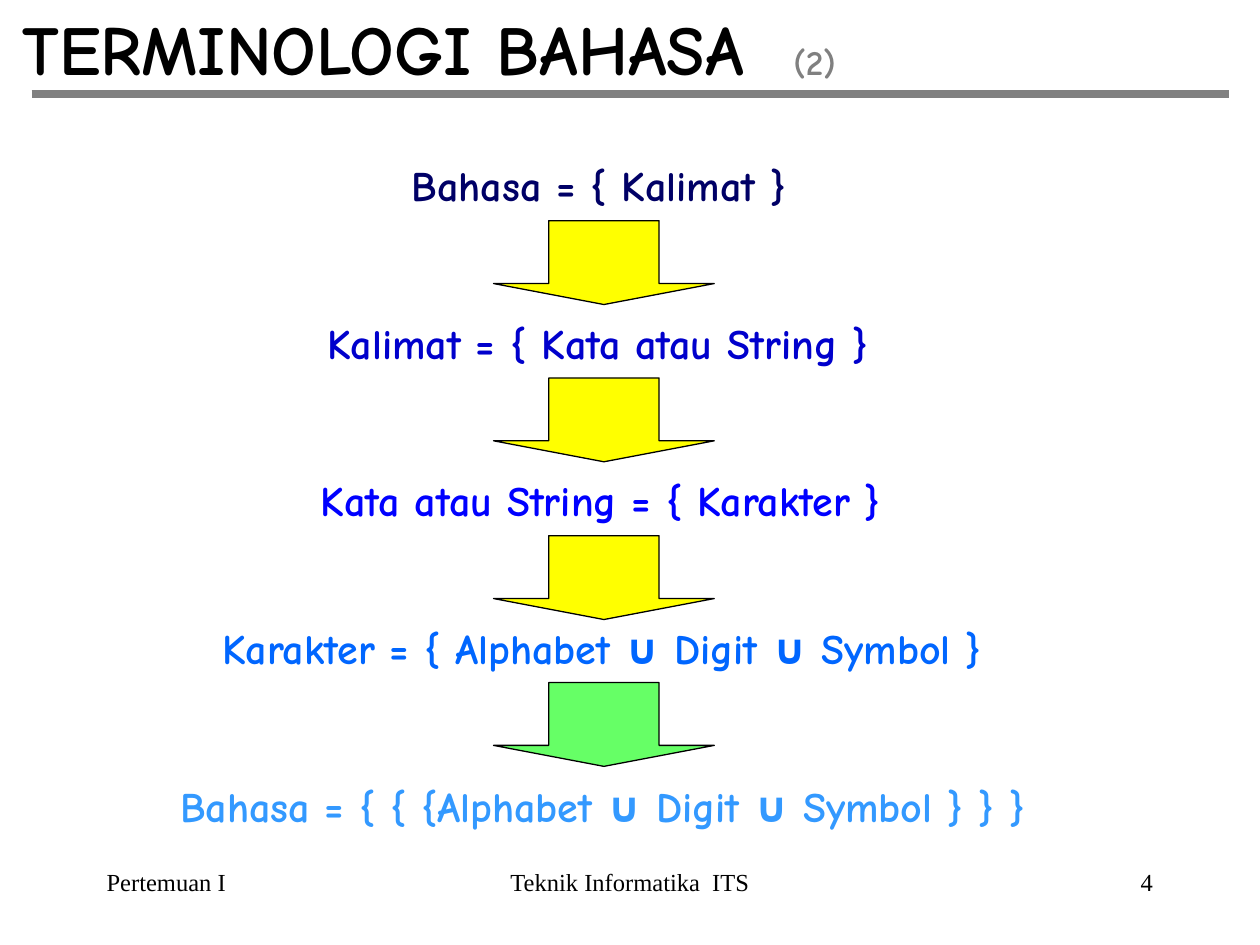
import pptx
import pptx.dml.color
import pptx.enum.shapes
import pptx.enum.text
import pptx.oxml
import pptx.util

Cm = pptx.util.Cm
Pt = pptx.util.Pt
RGB = pptx.dml.color.RGBColor
ALIGN = pptx.enum.text.PP_ALIGN
ANCHOR = pptx.enum.text.MSO_ANCHOR

COLORS = {
    "black": "000000",
    "gray": "808080",
    "yellow": "FFFF00",
    "green": "66FF66",
    "navy": "000066",
    "dark blue": "0000CC",
    "blue": "0000FF",
    "azure": "0066FF",
    "sky": "3399FF",
}

deck = pptx.Presentation()
deck.slide_width = Cm(25.4)
deck.slide_height = Cm(19.05)
page = deck.slides.add_slide(deck.slide_layouts[6])


def add_text(text, left, top, width, height=1.27, size=24, color="black",
             font="Comic Neue", bold=True, align=ALIGN.LEFT, anchor=ANCHOR.TOP):
    """Add a one-line text box, lengths in cm, and return its paragraph."""
    box = page.shapes.add_textbox(Cm(left), Cm(top), Cm(width), Cm(height))
    box.text_frame.word_wrap = True
    box.text_frame.vertical_anchor = anchor
    para = box.text_frame.paragraphs[0]
    para.alignment = align
    para.font.name = font
    span = para.add_run()
    span.text = text
    span.font.name = font
    span.font.size = Pt(size)
    span.font.bold = bold
    span.font.color.rgb = RGB.from_string(COLORS[color])
    return para


# Title with its part number, and the rule below
title = add_text("TERMINOLOGI BAHASA  ", 0.21, 0.21, 21.59, 1.48, size=40,
                 anchor=ANCHOR.MIDDLE)
part = title.add_run()
part.text = "(2)"
part.font.name = "Comic Neue"
part.font.size = Pt(20)
part.font.bold = True
part.font.color.rgb = RGB.from_string(COLORS["gray"])

rule = page.shapes.add_connector(pptx.enum.shapes.MSO_CONNECTOR.STRAIGHT,
                                 Cm(0.64), Cm(1.9), Cm(24.77), Cm(1.9))
rule.line.color.rgb = RGB.from_string(COLORS["gray"])
rule.line.width = Pt(4.5)
rule._element.spPr.append(pptx.oxml.parse_xml(
    '<a:effectLst xmlns:a="http://schemas.openxmlformats.org/drawingml/2006/main"/>'))

# Definitions, from language down to character: text, left, top, width, color
definitions = [
    ("Bahasa = { Kalimat }", 8.05, 3.1, 8.94, "navy"),
    ("Kalimat = { Kata atau String }", 6.35, 6.27, 12.98, "dark blue"),
    ("Kata atau String = { Karakter }", 6.22, 9.45, 13.59, "blue"),
    ("Karakter = { Alphabet ∪ Digit ∪ Symbol }", 4.23, 12.42, 17.93, "azure"),
    ("Bahasa = { { {Alphabet ∪ Digit ∪ Symbol } } }", 3.38, 15.6, 19.53, "sky"),
]
for text, left, top, width, color in definitions:
    add_text(text, left, top, width, color=color)

# Arrows between the definitions; the last one leads to the conclusion
arrows = [(4.45, "yellow"), (7.62, "yellow"), (10.8, "yellow"), (13.76, "green")]
for top, color in arrows:
    arrow = page.shapes.add_shape(pptx.enum.shapes.MSO_SHAPE.DOWN_ARROW,
                                  Cm(9.95), Cm(top), Cm(4.45), Cm(1.69))
    arrow.adjustments[0] = 0.5
    arrow.adjustments[1] = 0.25
    arrow.shadow.inherit = False
    arrow.fill.solid()
    arrow.fill.fore_color.rgb = RGB.from_string(COLORS[color])
    arrow.line.color.rgb = RGB.from_string(COLORS["black"])
    arrow.line.width = Pt(0.75)

# Footer
footers = [
    ("Pertemuan I", 1.9, 5.29, ALIGN.LEFT),
    ("Teknik Informatika  ITS", 8.68, 8.04, ALIGN.CENTER),
    ("4", 18.2, 5.29, ALIGN.RIGHT),
]
for text, left, width, align in footers:
    add_text(text, left, 17.36, width, size=14, font="Times New Roman",
             bold=False, align=align)

deck.save("out.pptx")
